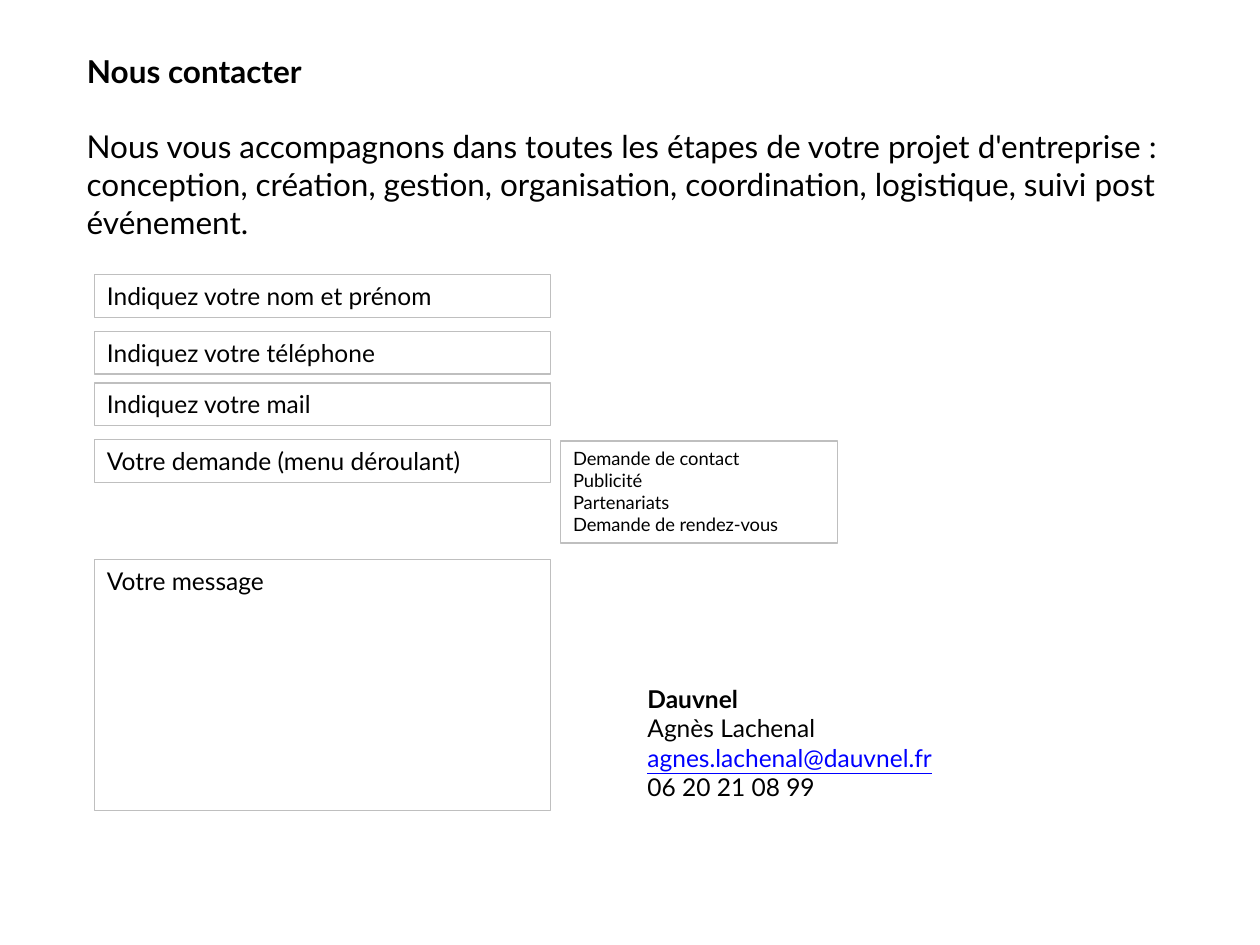
from pptx import Presentation
from pptx.dml.color import RGBColor
from pptx.enum.shapes import MSO_SHAPE as Shape
from pptx.enum.text import MSO_ANCHOR as Anchor, MSO_AUTO_SIZE as AutoSize, PP_ALIGN as Align
from pptx.util import Inches, Pt

FONT = "Lato"
BLACK, GREY, BLUE = "000000", "BFBFBF", "0000FF"

HEADING = "Nous contacter"
INTRO = (
    "Nous vous accompagnons dans toutes les étapes de votre projet d'entreprise : "
    "conception, création, gestion, organisation, coordination, logistique, "
    "suivi post événement."
)
FIELDS = [
    ("Indiquez votre nom et prénom", 2.18, 0.34),
    ("Indiquez votre téléphone", 2.63, 0.34),
    ("Indiquez votre mail", 3.04, 0.34),
    ("Votre demande (menu déroulant)", 3.49, 0.34),
    ("Votre message", 4.44, 1.99),
]
REQUESTS = ["Demande de contact", "Publicité", "Partenariats", "Demande de rendez-vous"]
CONTACT = [
    ("Dauvnel", {"bold": True}),
    ("Agnès Lachenal", {}),
    ("agnes.lachenal@dauvnel.fr", {"underline": True, "color": BLUE}),
    ("06 20 21 08 99", {}),
]

FIELD_LEFT, FIELD_WIDTH = 0.75, 3.62
INTRO_LEFT, INTRO_WIDTH = 0.59, 8.9


def rgb(hex_color):
    return RGBColor.from_string(hex_color)


def write(holder, lines, size):
    frame = holder.text_frame
    frame_format = {
        "word_wrap": True,
        "auto_size": AutoSize.NONE,
        "vertical_anchor": Anchor.TOP,
    }
    for key, value in frame_format.items():
        setattr(frame, key, value)
    for index, (text, style) in enumerate(lines):
        paragraph = frame.paragraphs[0] if index == 0 else frame.add_paragraph()
        paragraph.alignment = Align.LEFT
        run = paragraph.add_run()
        run.text = text
        font_format = {"name": FONT, "size": Pt(size), "bold": False, "color": BLACK} | style
        run.font.color.rgb = rgb(font_format.pop("color"))
        for key, value in font_format.items():
            setattr(run.font, key, value)


def add_text(slide, box, lines, size):
    write(slide.shapes.add_textbox(*map(Inches, box)), lines, size)


def add_field(slide, box, texts, size):
    field = slide.shapes.add_shape(Shape.RECTANGLE, *map(Inches, box))
    field.shadow.inherit = False
    field.fill.background()
    field.line.color.rgb = rgb(GREY)
    field.line.width = Pt(0.75)
    write(field, [(text, {}) for text in texts], size)


def main():
    deck = Presentation()
    deck.slide_width, deck.slide_height = Inches(10), Inches(7.5)
    slide = deck.slides.add_slide(deck.slide_layouts[5])

    heading = slide.shapes.title
    heading_place = {"left": INTRO_LEFT, "top": 0.36, "width": INTRO_WIDTH, "height": 0.4}
    for key, value in heading_place.items():
        setattr(heading, key, Inches(value))
    write(heading, [(HEADING, {"bold": True})], 18)
    add_text(slide, (INTRO_LEFT, 0.96, INTRO_WIDTH, 1.02), [(INTRO, {})], 18)

    for prompt, top, height in FIELDS:
        add_field(slide, (FIELD_LEFT, top, FIELD_WIDTH, height), [prompt], 14)
    add_field(slide, (4.45, 3.5, 2.2, 0.81), REQUESTS, 10.5)
    add_text(slide, (5.04, 5.38, 3.74, 1.04), CONTACT, 14)

    deck.save("out.pptx")


if __name__ == "__main__":
    main()
